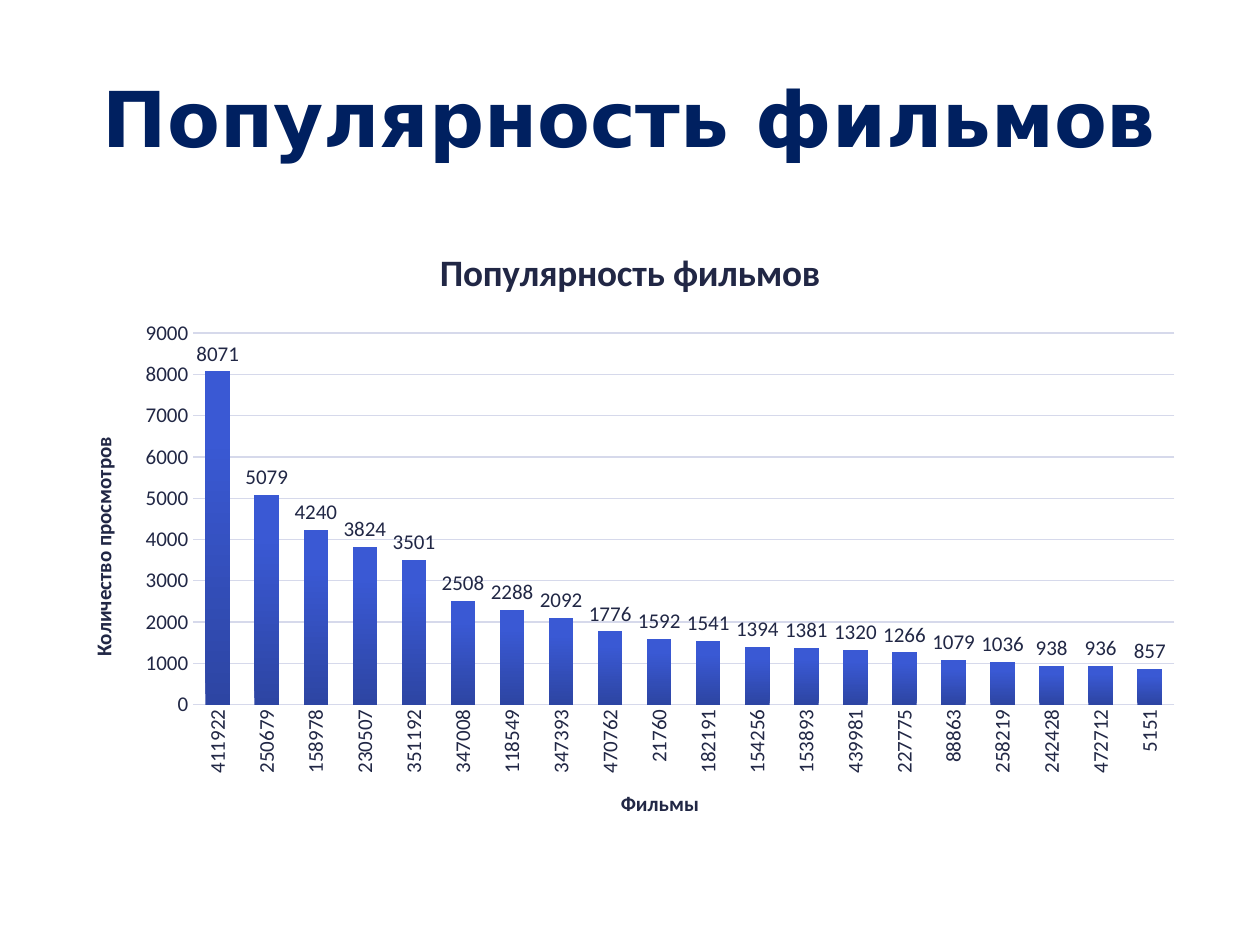
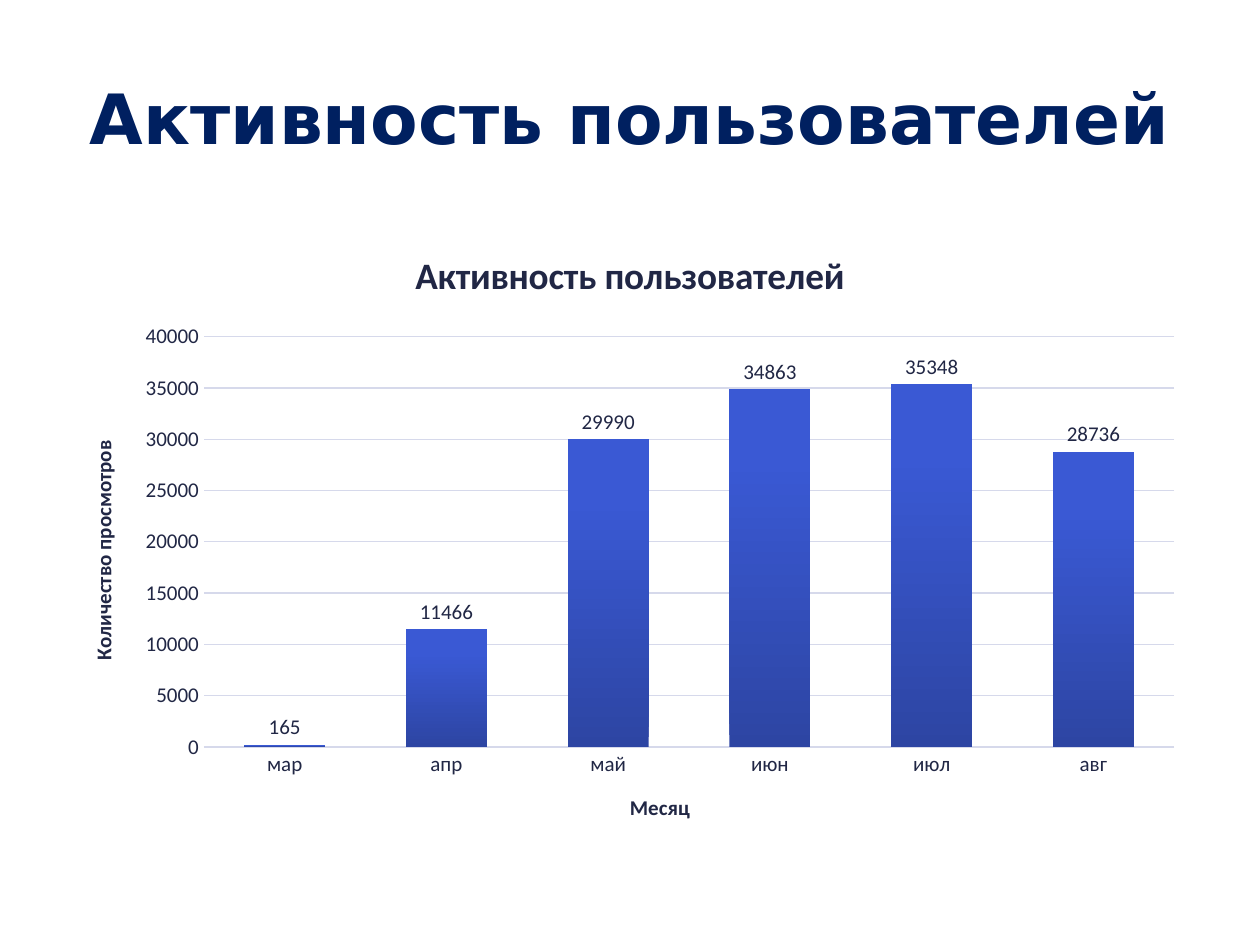
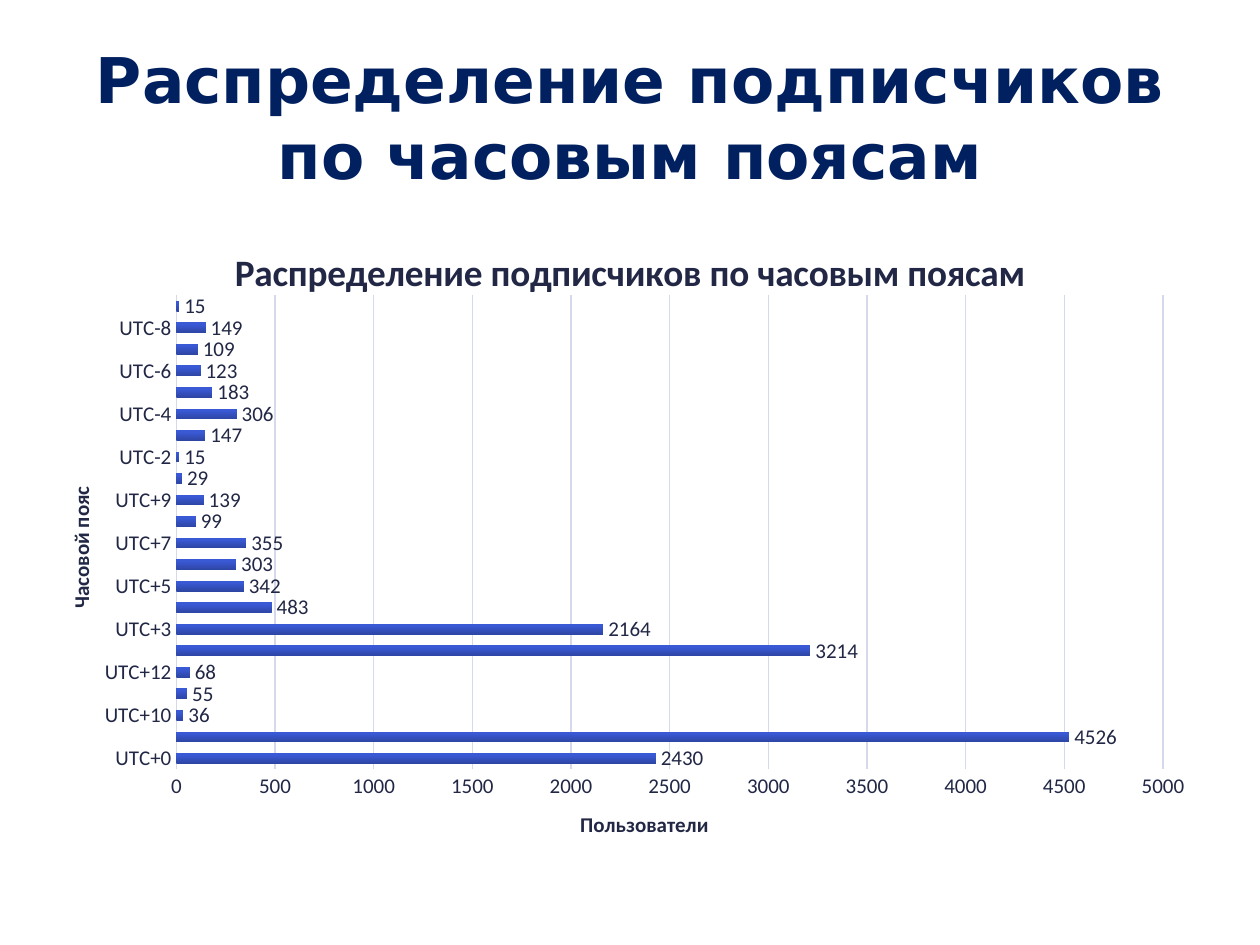
from copy import deepcopy

from lxml import etree
from pptx import Presentation
from pptx import util as u
from pptx.chart.data import CategoryChartData
from pptx.dml.color import RGBColor
from pptx.enum import chart as ch, text
from pptx.oxml import ns

HUES = {"title": "002060", "ink": "212745", "grid": "D6D9EB"}
SHADE = [(0, "2D45A3"), (0.8, "3A59D4"), (1, "3758D7")]
LEFT, WIDE = u.Cm(1.27), u.Cm(22.86)
UPWARD = "-5400000"


def paint(color, tone):
    color.rgb = RGBColor.from_string(tone)


class Deck:
    """Holds the shared style and the current slide."""

    def __init__(self):
        self.prs = Presentation()
        self.prs.slide_width = u.Cm(25.4)
        self.prs.slide_height = u.Cm(19.05)
        self.slide = None

    def page(self):
        self.slide = self.prs.slides.add_slide(self.prs.slide_layouts[6])

    def font(self, font, size, tone="ink", face="Calibri", bold=False):
        font.name, font.size, font.bold = face, u.Pt(size), bold
        paint(font.color, HUES[tone])

    def head(self, words, size):
        box = self.slide.shapes.add_textbox(LEFT, u.Cm(0.76), WIDE, u.Cm(3.18))
        frame = box.text_frame
        frame.word_wrap = True
        frame.vertical_anchor = text.MSO_ANCHOR.MIDDLE
        frame.text = words
        para = frame.paragraphs[0]
        para.alignment = text.PP_ALIGN.CENTER
        self.font(para.runs[0].font, size, "title", "DejaVu Sans", True)

    def label(self, owner, words, size):
        """Title of a chart or of an axis."""
        owner.has_title = True
        frame = (owner.chart_title if hasattr(owner, "chart_title")
                 else owner.axis_title).text_frame
        frame.text = words
        self.font(frame.paragraphs[0].runs[0].font, size, bold=True)
        return frame

    def axis(self, axis, words, upright):
        frame = self.label(axis, words, 12)
        if upright:
            body = frame._txBody.bodyPr
            body.set("rot", UPWARD)
            body.set("vert", "horz")
        axis.major_tick_mark = axis.minor_tick_mark = ch.XL_TICK_MARK.NONE
        self.font(axis.tick_labels.font, 12)

    def rule(self, line):
        paint(line.color, HUES["grid"])
        line.width = u.Pt(0.75)

    def shade(self, series):
        fill = series.format.fill
        fill.gradient()
        fill.gradient_angle = 90
        stops = series._element.xpath(".//a:gsLst")[0]
        stops.append(deepcopy(stops[0]))
        for stop, (place, tone) in zip(fill.gradient_stops, SHADE):
            stop.position = place
            paint(stop.color, tone)

    def place(self, chart, plot):
        """Fix the inner plot area: left, top, width, height as shares."""
        area = chart._chartSpace.xpath(".//c:plotArea")[0]
        for old in area.findall(ns.qn("c:layout")):
            area.remove(old)
        outer = etree.Element(ns.qn("c:layout"))
        area.insert(0, outer)
        inner = etree.SubElement(outer, ns.qn("c:manualLayout"))
        marks = [("layoutTarget", "inner"), ("xMode", "edge"), ("yMode", "edge")]
        for tag, val in marks + list(zip("xywh", plot)):
            etree.SubElement(inner, ns.qn("c:" + tag)).set("val", str(val))

    def chart(self, name, data, cat, val, top=4.45, flat=False, turn=False, plot=None):
        # Data and frame
        feed = CategoryChartData()
        feed.categories = list(data)
        feed.add_series("Series 1", list(data.values()))
        kind = ch.XL_CHART_TYPE
        kind = kind.BAR_CLUSTERED if flat else kind.COLUMN_CLUSTERED
        chart = self.slide.shapes.add_chart(
            kind, LEFT, u.Cm(top), WIDE, u.Cm(12.57), feed).chart
        chart.has_legend = False
        self.font(chart.font, 10)
        self.label(chart, name, 21.3)

        # Axes
        cats, vals = chart.category_axis, chart.value_axis
        self.axis(cats, cat, flat)
        self.axis(vals, val, not flat)
        self.rule(cats.format.line)
        vals.format.line.fill.background()
        vals.has_major_gridlines = True
        self.rule(vals.major_gridlines.format.line)
        if turn:
            cats._element.xpath("./c:txPr/a:bodyPr")[0].set("rot", UPWARD)

        # Bars and their labels
        bars = chart.plots[0]
        bars.vary_by_categories = False
        bars.gap_width = 100
        bars.overlap = 0 if flat else -24
        bars.series[0].invert_if_negative = False
        self.shade(bars.series[0])
        bars.has_data_labels = True
        tags = bars.data_labels
        tags.show_value = True
        tags.position = ch.XL_LABEL_POSITION.OUTSIDE_END
        self.font(tags.font, 12)
        if plot:
            self.place(chart, plot)


FILMS = {
    "411922": 8071, "250679": 5079, "158978": 4240, "230507": 3824,
    "351192": 3501, "347008": 2508, "118549": 2288, "347393": 2092,
    "470762": 1776, "21760": 1592, "182191": 1541, "154256": 1394,
    "153893": 1381, "439981": 1320, "227775": 1266, "88863": 1079,
    "258219": 1036, "242428": 938, "472712": 936, "5151": 857,
}
MONTHS = {"мар": 165, "апр": 11466, "май": 29990,
          "июн": 34863, "июл": 35348, "авг": 28736}
ZONES = {
    "UTC+0": 2430, "UTC+1": 4526, "UTC+10": 36, "UTC+11": 55, "UTC+12": 68,
    "UTC+2": 3214, "UTC+3": 2164, "UTC+4": 483, "UTC+5": 342, "UTC+6": 303,
    "UTC+7": 355, "UTC+8": 99, "UTC+9": 139, "UTC-1": 29, "UTC-2": 15,
    "UTC-3": 147, "UTC-4": 306, "UTC-5": 183, "UTC-6": 123, "UTC-7": 109,
    "UTC-8": 149, "UTC-9": 15,
}
VIEWS = "Количество просмотров"

# Heading, its size, data, axis titles, chart options
PAGES = [
    ("Популярность фильмов", 44, FILMS, "Фильмы", VIEWS, {"turn": True}),
    ("Активность пользователей", 39.6, MONTHS, "Месяц", VIEWS, {"top": 4.52}),
    ("Распределение подписчиков по часовым поясам", 36, ZONES,
     "Часовой пояс", "Пользователи",
     {"flat": True, "plot": (0.1, 0.12, 0.87, 0.76)}),
]


def main():
    deck = Deck()
    for name, size, data, cat, val, opts in PAGES:
        deck.page()
        deck.head(name, size)
        deck.chart(name, data, cat, val, **opts)
    deck.prs.save("out.pptx")


if __name__ == "__main__":
    main()
